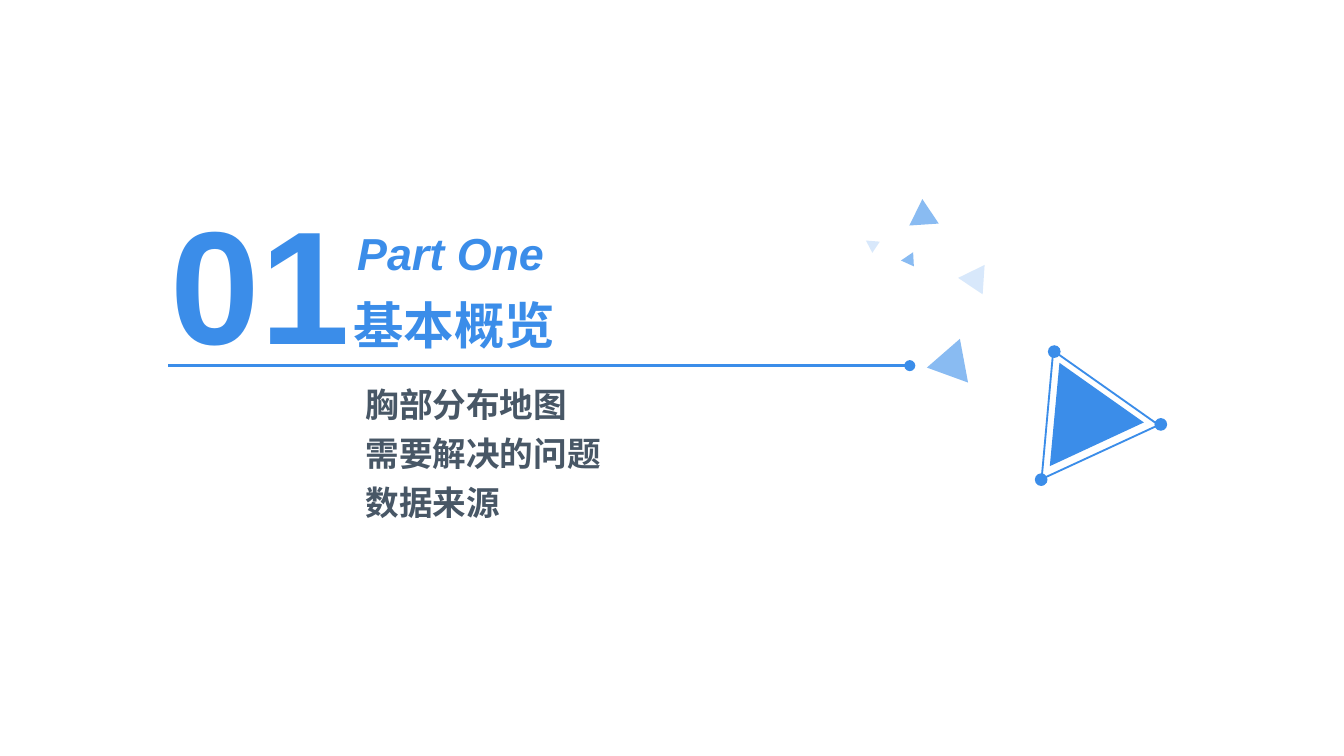
import dataclasses

import lxml.etree
import pptx
import pptx.dml.color
import pptx.enum.shapes
import pptx.enum.text
import pptx.oxml.ns
import pptx.util

Pt = pptx.util.Pt
SHAPE = pptx.enum.shapes.MSO_SHAPE
ANCHOR = pptx.enum.text.MSO_ANCHOR
ALIGN = pptx.enum.text.PP_ALIGN
FIT = pptx.enum.text.MSO_AUTO_SIZE
qn = pptx.oxml.ns.qn


@dataclasses.dataclass(frozen=True)
class Theme:
    background: str = "FFFFFF"
    accent: str = "3B8DE9"
    mid: str = "89BBF2"
    pale: str = "D8E8FB"
    body: str = "485766"
    latin: str = "Arial"
    cjk: str = "Noto Sans CJK SC"
    number_size: float = 86.2
    title_size: float = 27
    part_size: float = 24
    topic_size: float = 18


def rgb(color):
    return pptx.dml.color.RGBColor.from_string(color)


class SectionSlide:
    def __init__(self, prs, theme):
        self.theme = theme
        self.s = prs.slides.add_slide(prs.slide_layouts[6])
        fill = self.s.background.fill
        fill.solid()
        fill.fore_color.rgb = rgb(theme.background)

    def text(self, box, lines, size, color, font, italic=False, wrap=True, grow=False,
             anchor=ANCHOR.TOP, align=ALIGN.LEFT, insets=(7.2, 3.6), before=0):
        sp = self.s.shapes.add_textbox(*map(Pt, box))
        tf = sp.text_frame
        tf.word_wrap = wrap
        tf.auto_size = FIT.SHAPE_TO_FIT_TEXT if grow else FIT.NONE
        tf.vertical_anchor = anchor
        tf.margin_left = tf.margin_right = Pt(insets[0])
        tf.margin_top = tf.margin_bottom = Pt(insets[1])
        for i, line in enumerate(lines):
            p = tf.add_paragraph() if i else tf.paragraphs[0]
            p.alignment = align
            p.space_before = Pt(before)
            r = p.add_run()
            r.text = line
            r.font.size = Pt(size)
            r.font.bold = True
            r.font.italic = italic
            r.font.color.rgb = rgb(color)
            r.font.name = font
            ea = lxml.etree.SubElement(r.font._element, qn("a:ea"))
            ea.set("typeface", font)

    def shape(self, kind, box, fill=None, line=None, rotation=0):
        sp = self.s.shapes.add_shape(kind, *map(Pt, box))
        sp.shadow.inherit = False
        sp.rotation = rotation
        if fill:
            sp.fill.solid()
            sp.fill.fore_color.rgb = rgb(fill)
        else:
            sp.fill.background()
        if line:
            sp.line.color.rgb = rgb(line)
            sp.line.width = Pt(1)
        else:
            sp.line.fill.background()

    def triangle(self, box, rotation, fill=None, line=None):
        self.shape(SHAPE.ISOSCELES_TRIANGLE, box, fill, line, rotation)

    def dot(self, x, y, size=6.8):
        self.shape(SHAPE.OVAL, (x - size / 2, y - size / 2, size, size), self.theme.accent)

    def rule(self, start, end, y):
        kind = pptx.enum.shapes.MSO_CONNECTOR.STRAIGHT
        sp = self.s.shapes.add_connector(kind, Pt(start), Pt(y), Pt(end), Pt(y))
        sp.line.color.rgb = rgb(self.theme.accent)
        sp.line.width = Pt(1.5)
        head = lxml.etree.SubElement(sp.line._get_or_add_ln(), qn("a:headEnd"))
        head.set("type", "oval")
        lxml.etree.SubElement(sp._element.spPr, qn("a:effectLst"))


def main():
    prs = pptx.Presentation()
    prs.slide_width, prs.slide_height = Pt(720), Pt(405)
    t = Theme()
    s = SectionSlide(prs, t)

    s.text((90.7, 103.7, 97.2, 92.9), ["01"], t.number_size, t.accent, t.latin,
           wrap=False, anchor=ANCHOR.MIDDLE, align=ALIGN.CENTER, insets=(0, 0))
    s.text((182.2, 149, 297.4, 44.6), ["基本概览"], t.title_size, t.accent, t.cjk,
           anchor=ANCHOR.BOTTOM)
    s.text((184.3, 117.4, 115.2, 36), ["Part One"], t.part_size, t.accent, t.latin,
           italic=True, wrap=False, grow=True)

    for box, rotation, fill in [
        ((515.5, 144.7, 15.8, 13.7), 153.9, t.pale),
        ((494.6, 185, 23.8, 20.2), 259.5, t.mid),
        ((486.7, 106.6, 15.8, 13.7), 356.2, t.mid),
        ((463, 127.4, 7.2, 6.5), 303.5, t.pale),
        ((483.8, 136.8, 7.9, 6.5), 145.8, t.mid),
        ((548.6, 205.9, 55.4, 48.2), 215.2, t.accent),
    ]:
        s.triangle(box, rotation, fill)
    s.triangle((540.7, 202.3, 69.1, 59.8), 215.2, line=t.accent)
    for x, y in [(621.9, 227.4), (557.8, 257), (564.8, 188.4)]:
        s.dot(x, y)

    s.rule(487.4, 90, 195.9)
    s.text((190.8, 203, 158.4, 92.9), ["胸部分布地图", "需要解决的问题", "数据来源"],
           t.topic_size, t.body, t.cjk, grow=True, insets=(5, 2.9), before=4.5)

    prs.save("out.pptx")


if __name__ == "__main__":
    main()
